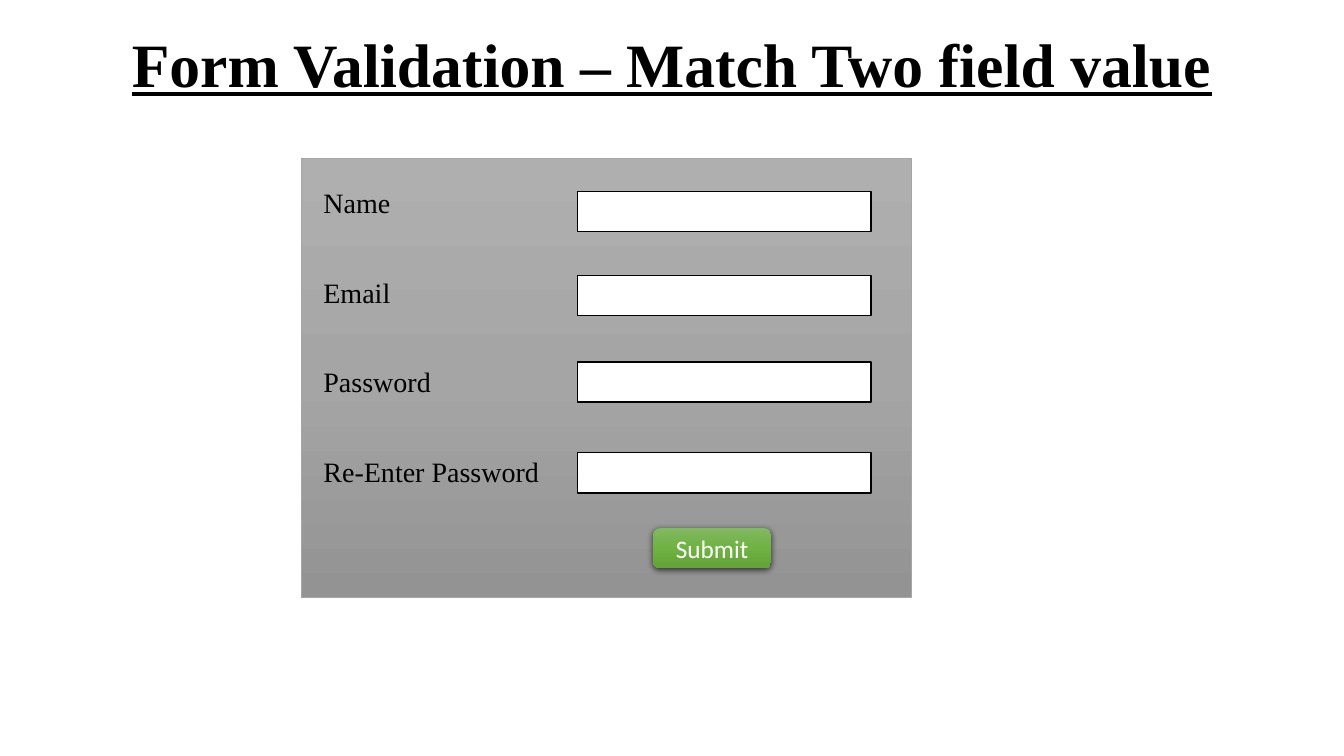
from copy import deepcopy
from lxml.etree import SubElement
from pptx import Presentation
from pptx.dml.color import RGBColor
from pptx.enum.shapes import MSO_SHAPE as Shape
from pptx.enum.text import MSO_ANCHOR as Anchor, PP_ALIGN as Align
from pptx.oxml.ns import qn
from pptx.util import Pt


def color(value):
    return RGBColor.from_string(value)


def add_text(para, text, hex_color, formats):
    span = para.add_run()
    span.text = text
    span.font.color.rgb = color(hex_color)
    for name, value in formats.items():
        setattr(span.font, name, value)


deck = Presentation()
deck.slide_width, deck.slide_height = Pt(960), Pt(540)
slide = deck.slides.add_slide(deck.slide_layouts[6])
shapes = slide.shapes

panel = shapes.add_shape(Shape.RECTANGLE, Pt(215.3), Pt(113), Pt(435.6), Pt(313.9))
panel.line.color.rgb = color("A5A5A5")
panel.line.width = Pt(0.5)

title = shapes.add_textbox(Pt(48), Pt(3), Pt(864), Pt(90))
title.text_frame.word_wrap = True
title.text_frame.vertical_anchor = Anchor.MIDDLE
para = title.text_frame.paragraphs[0]
para.alignment = Align.CENTER
para.line_spacing = 0.9
add_text(para, "Form Validation – Match Two field value", "000000",
         {"name": "Times New Roman", "size": Pt(44), "bold": True, "underline": True})

labels = shapes.add_textbox(Pt(223.9), Pt(131.8), Pt(179.3), Pt(285.8))
labels.text_frame.word_wrap = True
for index, label in enumerate(["Name", "Email", "Password", "Re-Enter Password"]):
    para = labels.text_frame.add_paragraph() if index else labels.text_frame.paragraphs[0]
    para.line_spacing = 0.9
    para.space_before = Pt(42.4 if index else 0)
    add_text(para, label, "000000", {"name": "Times New Roman", "size": Pt(20)})

for top in [136.8, 196.6, 258.5, 323.3]:
    field = shapes.add_shape(Shape.RECTANGLE, Pt(412.6), Pt(top), Pt(209.5), Pt(28.8))
    field.shadow.inherit = False
    field.fill.solid()
    field.fill.fore_color.rgb = color("FFFFFF")
    field.line.color.rgb = color("000000")
    field.line.width = Pt(1)

button = shapes.add_shape(Shape.ROUNDED_RECTANGLE, Pt(466.6), Pt(377.3), Pt(84.2), Pt(28.8))
button.line.fill.background()
button.text_frame.vertical_anchor = Anchor.MIDDLE
para = button.text_frame.paragraphs[0]
para.alignment = Align.CENTER
add_text(para, "Submit", "FFFFFF", {"name": "Calibri", "size": Pt(18)})

gradients = [(panel, ["AFAFAF", "A5A5A5", "939393"]),
             (button, ["81B861", "6FB242", "62A336"])]
for box, stop_colors in gradients:
    box.shadow.inherit = False
    box.fill.gradient()
    box.fill.gradient_angle = 270
    stop_list = box._element.spPr.find(".//" + qn("a:gsLst"))
    stop_list.insert(1, deepcopy(stop_list[0]))
    for index, stop in enumerate(box.fill.gradient_stops):
        stop.position = index / 2
        stop.color.rgb = color(stop_colors[index])

effects = button._element.spPr.find(qn("a:effectLst"))
shadow = SubElement(effects, qn("a:outerShdw"), blurRad=str(Pt(4.5)), dist=str(Pt(1.5)),
                    dir="5400000", algn="ctr", rotWithShape="0")
shade = SubElement(shadow, qn("a:srgbClr"), val="000000")
SubElement(shade, qn("a:alpha"), val="63000")

deck.save("out.pptx")
